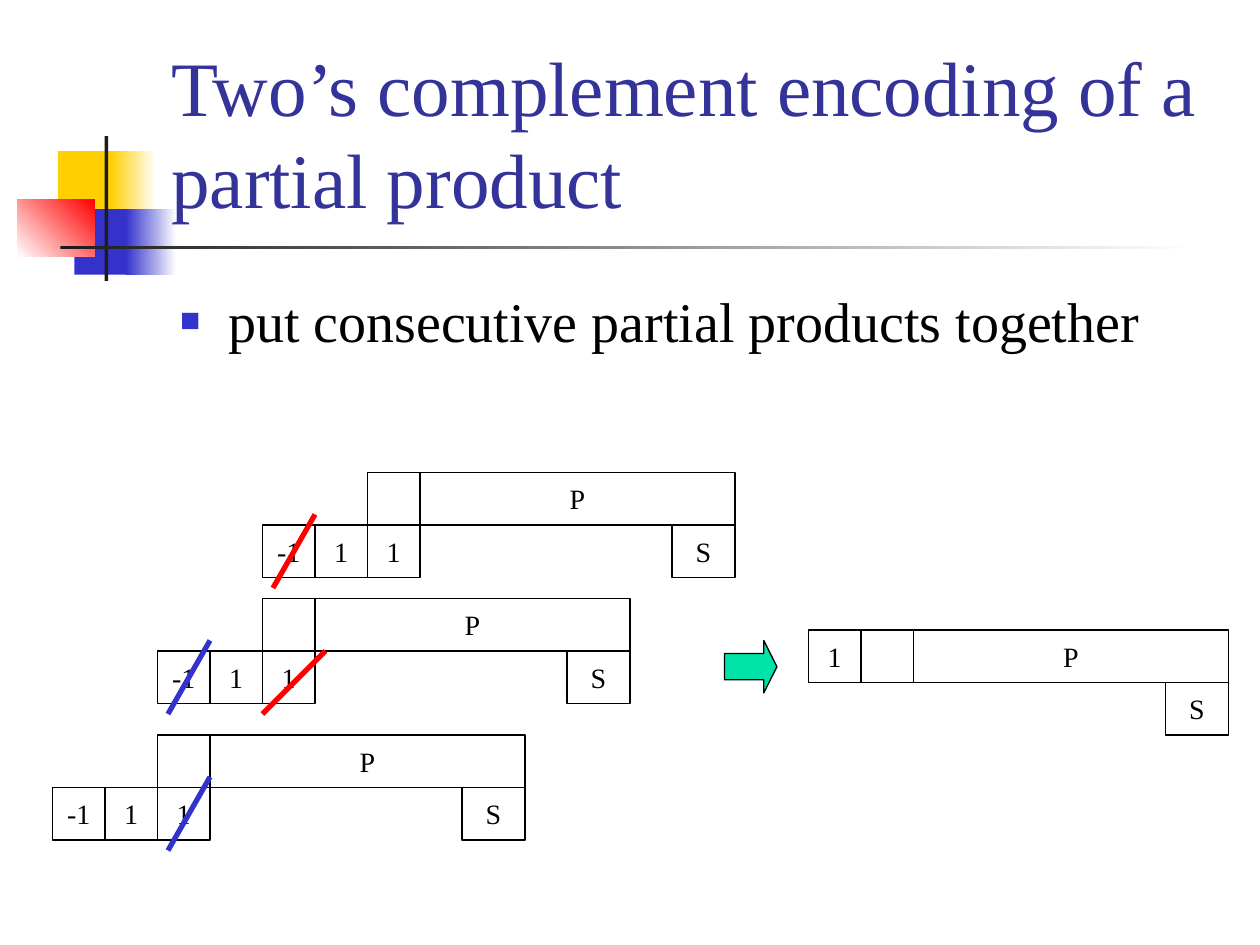
from dataclasses import dataclass

from lxml import etree
from pptx import Presentation
from pptx.dml.color import RGBColor
from pptx.enum.shapes import MSO_CONNECTOR, MSO_SHAPE
from pptx.enum.text import MSO_ANCHOR, MSO_AUTO_SIZE, PP_ALIGN
from pptx.oxml.ns import qn
from pptx.util import Inches, Length, Pt

RECTANGLE, RIGHT_ARROW = MSO_SHAPE.RECTANGLE, MSO_SHAPE.RIGHT_ARROW
STRAIGHT = MSO_CONNECTOR.STRAIGHT
TOP, MIDDLE, BOTTOM = MSO_ANCHOR.TOP, MSO_ANCHOR.MIDDLE, MSO_ANCHOR.BOTTOM
LEFT, CENTER = PP_ALIGN.LEFT, PP_ALIGN.CENTER
NO_AUTOFIT = MSO_AUTO_SIZE.NONE


@dataclass(frozen=True)
class Theme:
    font: str = "Times New Roman"
    title_size: int = 44
    body_size: int = 32
    cell_size: int = 16
    outline: float = 0.75
    strike: float = 3
    title: str = "333399"
    black: str = "000000"
    white: str = "FFFFFF"
    yellow: str = "FFCF01"
    blue: str = "3333CC"
    red: str = "FF0000"
    bar: str = "1C1C1C"
    arrow: str = "00E4A8"


THEME = Theme()


@dataclass(frozen=True)
class Block:
    """Decorative rectangle in inches; fades when end_color is given."""
    left: float
    top: float
    width: float
    height: float
    color: str
    end_color: str = ""
    angle: int = 0


@dataclass(frozen=True)
class Product:
    """Partial product: grid position of its P cell and its leading cells."""
    left: int
    top: int
    leading: tuple[str, ...]
    leading_row: int


@dataclass(frozen=True)
class Strike:
    """Cancelling stroke between two grid points."""
    start: tuple[int, int]
    end: tuple[int, int]
    color: str


BLOCKS = (
    Block(0.46, 1.2, 0.48, 0.52, THEME.yellow),
    Block(0.88, 1.2, 0.36, 0.52, THEME.yellow, THEME.white),
    Block(0.59, 1.66, 0.46, 0.52, THEME.blue),
    Block(1, 1.66, 0.4, 0.52, THEME.blue, THEME.white),
    Block(0.14, 1.58, 0.61, 0.46, THEME.white, THEME.red, 45),
    Block(0.83, 1.08, 0.03, 1.15, THEME.bar),
    Block(0.48, 1.95, 9, 0.03, THEME.bar, THEME.white),
)

# The diagram lies on a grid of twelfths of an inch
CELL, P_WIDTH, S_WIDTH = 5, 30, 6
SIGN_BITS = ("1", "1", "-1")
PRODUCTS = (
    Product(40, 45, SIGN_BITS, 1),
    Product(30, 57, SIGN_BITS, 1),
    Product(20, 70, SIGN_BITS, 1),
    Product(87, 60, ("", "1"), 0),
)
STRIKES = (
    Strike((30, 49), (26, 56), THEME.red),
    Strike((31, 62), (25, 68), THEME.red),
    Strike((20, 61), (16, 68), THEME.blue),
    Strike((20, 74), (16, 81), THEME.blue),
)


def grid(steps: int) -> Length:
    return Inches(steps / 12)


def rgb(color: str) -> RGBColor:
    return RGBColor.from_string(color)


def apply(target, formats: dict) -> None:
    for attribute, value in formats.items():
        setattr(target, attribute, value)


def style_font(font, size: int, color: str) -> None:
    apply(font, {"name": THEME.font, "size": Pt(size), "bold": False})
    font.color.rgb = rgb(color)


def outline(shape) -> None:
    shape.shadow.inherit = False
    shape.line.width = Pt(THEME.outline)
    shape.line.color.rgb = rgb(THEME.black)


def draw_block(slide, block: Block) -> None:
    shape = slide.shapes.add_shape(RECTANGLE, *map(
        Inches, (block.left, block.top, block.width, block.height)))
    shape.shadow.inherit = False
    shape.line.fill.background()
    if block.end_color:
        shape.fill.gradient()
        shape.fill.gradient_angle = block.angle
        for stop, color in zip(shape.fill.gradient_stops,
                               (block.color, block.end_color)):
            stop.color.rgb = rgb(color)
    else:
        shape.fill.solid()
        shape.fill.fore_color.rgb = rgb(block.color)


def draw_cell(group, left: int, top: int, width: int, label: str) -> None:
    cell = group.shapes.add_shape(
        RECTANGLE, grid(left), grid(top), grid(width), grid(CELL))
    cell.fill.background()
    outline(cell)
    if label:
        apply(cell.text_frame, {"text": label, "word_wrap": False,
                                "vertical_anchor": MIDDLE})
        paragraph = cell.text_frame.paragraphs[0]
        paragraph.alignment = CENTER
        style_font(paragraph.font, THEME.cell_size, THEME.black)


def draw_product(slide, product: Product) -> None:
    group = slide.shapes.add_group_shape()
    left, top, below = product.left, product.top, product.top + CELL
    draw_cell(group, left, top, P_WIDTH, "P")
    draw_cell(group, left + P_WIDTH - S_WIDTH, below, S_WIDTH, "S")
    if product.leading_row:
        draw_cell(group, left - CELL, top, CELL, "")
    for index, label in enumerate(product.leading, start=1):
        draw_cell(group, left - index * CELL,
                  top + product.leading_row * CELL, CELL, label)


def draw_strike(slide, strike: Strike) -> None:
    line = slide.shapes.add_connector(
        STRAIGHT, *map(grid, strike.start + strike.end))
    line.line.width = Pt(THEME.strike)
    line.line.color.rgb = rgb(strike.color)
    etree.SubElement(line.element.spPr, qn("a:effectLst"))


def fill_placeholder(holder, box: tuple, text: str, anchor):
    apply(holder, dict(zip(("left", "top", "width", "height"),
                           map(Inches, box))))
    apply(holder.text_frame, {"text": text, "word_wrap": True,
                              "auto_size": NO_AUTOFIT,
                              "vertical_anchor": anchor})
    paragraph = holder.text_frame.paragraphs[0]
    apply(paragraph, {"alignment": LEFT, "space_before": Pt(0)})
    holder.element.getparent().append(holder.element)  # above the blocks
    return paragraph


def add_square_bullet(paragraph) -> None:
    properties = paragraph._p.get_or_add_pPr()
    apply_indent = {"marL": Inches(0.38), "indent": Inches(-0.38)}
    for key, value in apply_indent.items():
        properties.set(key, str(value))
    color = etree.SubElement(properties, qn("a:buClr"))
    etree.SubElement(color, qn("a:srgbClr"), val=THEME.blue)
    etree.SubElement(properties, qn("a:buSzPct"), val="60000")
    etree.SubElement(properties, qn("a:buChar"), char="■")


def main() -> None:
    deck = Presentation()
    apply(deck, {"slide_width": Inches(10), "slide_height": Inches(7.5)})
    slide = deck.slides.add_slide(deck.slide_layouts[1])
    title, body = slide.placeholders

    # Decoration, heading and bullet
    for block in BLOCKS:
        draw_block(slide, block)
    heading = fill_placeholder(
        title, (1.26, 0.23, 8.52, 1.6),
        "Two’s complement encoding of a partial product", BOTTOM)
    style_font(heading.font, THEME.title_size, THEME.title)
    bullet = fill_placeholder(
        body, (1.33, 2.17, 8.5, 0.71),
        "put consecutive partial products together", TOP)
    body.text_frame.margin_top = Inches(0.1)
    add_square_bullet(bullet)
    style_font(bullet.font, THEME.body_size, THEME.black)

    # Partial products, result arrow and cancelled bits
    for product in PRODUCTS:
        draw_product(slide, product)
    arrow = slide.shapes.add_shape(
        RIGHT_ARROW, grid(69), grid(61), grid(CELL), grid(CELL))
    arrow.adjustments[1] = 0.25
    arrow.fill.solid()
    arrow.fill.fore_color.rgb = rgb(THEME.arrow)
    outline(arrow)
    for strike in STRIKES:
        draw_strike(slide, strike)

    deck.save("out.pptx")


if __name__ == "__main__":
    main()
